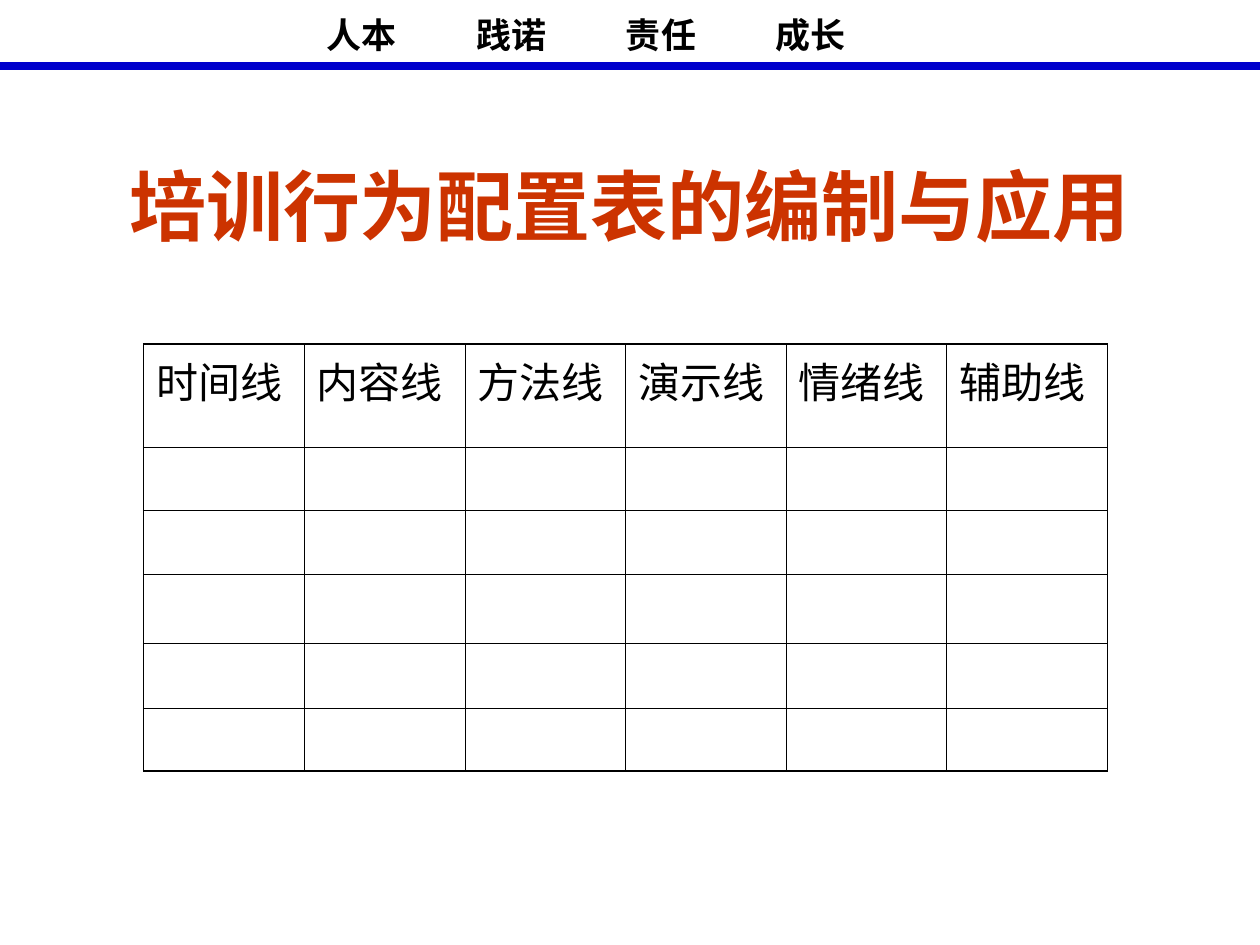
from lxml.etree import SubElement as Sub
from pptx import Presentation as Deck
from pptx.dml.color import RGBColor as Rgb
from pptx.enum.lang import MSO_LANGUAGE_ID as Lang
from pptx.enum.shapes import MSO_CONNECTOR as Conn
from pptx.enum.text import MSO_ANCHOR as Anchor, PP_ALIGN as Align
from pptx.oxml.ns import qn
from pptx.util import Inches, Pt

WIDE, HIGH = Inches(10), Inches(7.5)
INK, BLUE, RUST = "000000", "0000CC", "CC3300"
WORDS = ["人本", "践诺", "责任", "成长"]
HEADS = ["时间线", "内容线", "方法线", "演示线", "情绪线", "辅助线"]
ROWS = [0.82, 0.5, 0.51, 0.55, 0.51, 0.5]
THIN, THICK = 0.45, 1.08


def tint(code):
    return Rgb.from_string(code)


def area(left, top, width, height):
    return [int(WIDE * left), int(HIGH * top), int(WIDE * width), int(HIGH * height)]


def write(para, text, size, color=INK, bold=False, face="Arial"):
    run = para.add_run()
    run.text = text
    font = run.font
    font.name, font.size, font.bold = face, Pt(size), bold
    font.color.rgb = tint(color)
    font.language_id = Lang.SIMPLIFIED_CHINESE


def add_motto(slide):
    box = slide.shapes.add_textbox(*area(0.051, 0.007, 0.898, 0.059))
    frame = box.text_frame
    frame.word_wrap = True
    frame.vertical_anchor = Anchor.MIDDLE
    para = frame.paragraphs[0]
    stops = Sub(para._p.get_or_add_pPr(), qn("a:tabLst"))
    for i, word in enumerate(WORDS):
        Sub(stops, qn("a:tab"), pos=str(Inches(1.98 + 1.19 * i)), algn="l")
        write(para, "\t" + word, 20, bold=True, face="Noto Sans CJK SC")


def add_rule(slide):
    level = int(HIGH * 0.07)
    rule = slide.shapes.add_connector(Conn.STRAIGHT, 0, level, WIDE, level)
    rule.line.color.rgb = tint(BLUE)
    rule.line.width = Pt(4.5)
    Sub(rule._element.spPr, qn("a:effectLst"))


def set_title(slide):
    title = slide.shapes.title
    title.left, title.top, title.width, title.height = area(0.05, 0.143, 0.9, 0.147)
    frame = title.text_frame
    frame.word_wrap = True
    frame.vertical_anchor = Anchor.MIDDLE
    para = frame.paragraphs[0]
    para.alignment = Align.CENTER
    write(para, "培训行为配置表的编制与应用", 44, RUST, True)


def edge(cell, side, width):
    line = Sub(cell._tc.get_or_add_tcPr(), qn("a:ln" + side), w=str(Pt(width)))
    fill = Sub(line, qn("a:solidFill"))
    Sub(fill, qn("a:srgbClr"), val=INK)


def add_grid(slide):
    rows, cols = len(ROWS), len(HEADS)
    place = area(0.114, 0.364, 0.765, 0.453)
    grid = slide.shapes.add_table(rows, cols, *place).table
    grid.first_row = grid.horz_banding = False
    for row, tall in zip(grid.rows, ROWS):
        row.height = Inches(tall)
    for r in range(rows):
        for c in range(cols):
            cell = grid.cell(r, c)
            outer = {"L": c == 0, "R": c == cols - 1, "T": r == 0, "B": r == rows - 1}
            for side, rim in outer.items():
                edge(cell, side, THICK if rim else THIN)
            cell.fill.background()
    for c, head in enumerate(HEADS):
        write(grid.cell(0, c).text_frame.paragraphs[0], head, 24)


def main():
    deck = Deck()
    deck.slide_width, deck.slide_height = WIDE, HIGH
    slide = deck.slides.add_slide(deck.slide_layouts[5])
    add_motto(slide)
    add_rule(slide)
    set_title(slide)
    add_grid(slide)
    deck.save("out.pptx")


if __name__ == "__main__":
    main()
